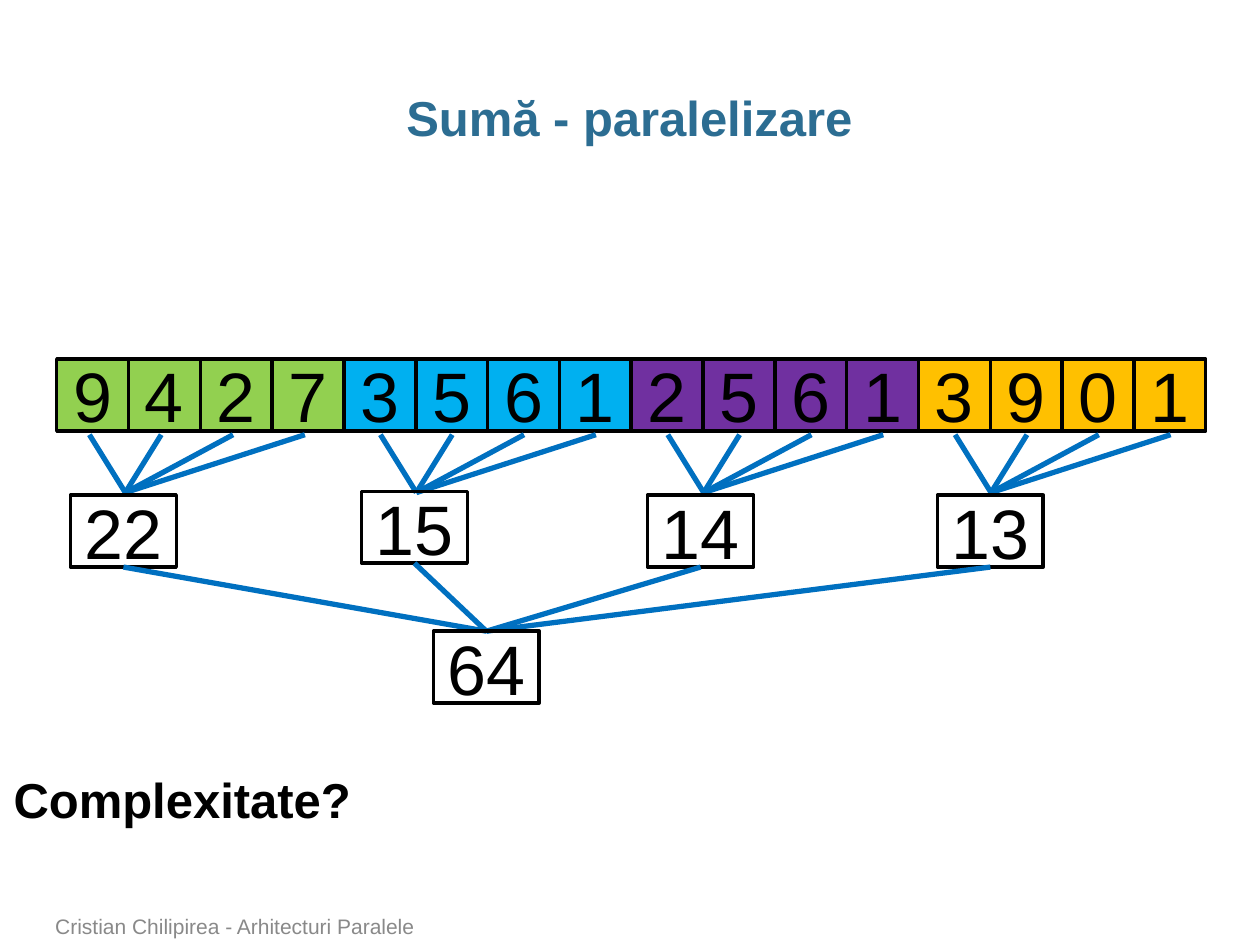
from dataclasses import dataclass

from lxml import etree
from pptx import Presentation
from pptx.dml.color import RGBColor
from pptx.enum.shapes import MSO_CONNECTOR, MSO_SHAPE
from pptx.enum.text import MSO_ANCHOR, MSO_AUTO_SIZE, PP_ALIGN
from pptx.oxml.ns import qn
from pptx.util import Pt

RECTANGLE = MSO_SHAPE.RECTANGLE
STRAIGHT = MSO_CONNECTOR.STRAIGHT
LEFT, CENTER = PP_ALIGN.LEFT, PP_ALIGN.CENTER
TOP, MIDDLE, BOTTOM = MSO_ANCHOR.TOP, MSO_ANCHOR.MIDDLE, MSO_ANCHOR.BOTTOM
TITLE_ONLY = 5


@dataclass(frozen=True)
class Theme:
    font: str = "Arial"
    ink: str = "000000"
    title: str = "2C6D92"
    footer: str = "898989"
    link: str = "0070C0"
    number_size: int = 40
    heading_size: int = 28
    footer_size: int = 12
    border: int = 2
    link_width: int = 3


THEME = Theme()

CELL = 41.04
ROW_LEFT, ROW_TOP = 32.4, 205.2
RESULT_WIDTH = 60.5
FAN_TOP, FAN_BOTTOM = 248.4, 281.5
SUM_LEFT, SUM_TOP = 247.7, 360.7

# Numbers, fill, left of the first fan line, left and top of the partial sum
GROUPS = [
    ((9, 4, 2, 7), "92D050", 51.1, 40.3, 283),
    ((3, 5, 6, 1), "00B0F0", 217.4, 206.6, 280.8),
    ((2, 5, 6, 1), "7030A0", 381.6, 370.1, 283),
    ((3, 9, 0, 1), "FFC000", 545.8, 535.7, 283),
]


def write_text(shape, text, size, color=THEME.ink, bold=False, align=LEFT,
               anchor=TOP, wrap=True, spacing=None):
    frame = shape.text_frame
    frame.word_wrap = wrap
    frame.auto_size = MSO_AUTO_SIZE.NONE
    frame.vertical_anchor = anchor
    para = frame.paragraphs[0]
    para.alignment = align
    para.line_spacing = spacing
    span = para.add_run()
    span.text = text
    span.font.name = THEME.font
    span.font.size = Pt(size)
    span.font.bold = bold
    span.font.color.rgb = RGBColor.from_string(color)


def add_label(page, text, left, top, width, height, **text_format):
    box = page.shapes.add_textbox(Pt(left), Pt(top), Pt(width), Pt(height))
    write_text(box, text, **text_format)


def add_title(page, text):
    title = page.shapes.title
    title.left, title.top = Pt(24.5), Pt(49)
    title.width, title.height = Pt(670.3), Pt(36)
    title.text_frame.margin_left = title.text_frame.margin_right = 0
    write_text(title, text, THEME.heading_size, color=THEME.title, bold=True,
               align=CENTER, spacing=0.95)


def add_number(page, number, left, top, width, fill=None):
    box = page.shapes.add_shape(RECTANGLE, Pt(left), Pt(top), Pt(width), Pt(CELL))
    box.shadow.inherit = False
    if fill:
        box.fill.solid()
        box.fill.fore_color.rgb = RGBColor.from_string(fill)
    else:
        box.fill.background()
    box.line.color.rgb = RGBColor.from_string(THEME.ink)
    box.line.width = Pt(THEME.border)
    write_text(box, str(number), THEME.number_size, align=CENTER, anchor=MIDDLE)


def add_link(page, start, end):
    link = page.shapes.add_connector(STRAIGHT, *map(Pt, start + end))
    link.line.color.rgb = RGBColor.from_string(THEME.link)
    link.line.width = Pt(THEME.link_width)
    etree.SubElement(link._element.spPr, qn("a:effectLst"))


def add_group(page, index, numbers, fill, fan_left, result_left, result_top):
    """Draw one block of cells, its partial sum, and the links down to the total."""
    tip = (fan_left + CELL / 2, FAN_BOTTOM)
    for step, number in enumerate(numbers):
        column = index * len(numbers) + step
        add_number(page, number, ROW_LEFT + column * CELL, ROW_TOP, CELL, fill)
        add_link(page, (fan_left + step * CELL, FAN_TOP), tip)
    add_number(page, sum(numbers), result_left, result_top, RESULT_WIDTH)
    add_link(page, (result_left + RESULT_WIDTH / 2, result_top + CELL),
             (SUM_LEFT + RESULT_WIDTH / 2, SUM_TOP))


def main():
    deck = Presentation()
    deck.slide_width, deck.slide_height = Pt(720), Pt(540)
    page = deck.slides.add_slide(deck.slide_layouts[TITLE_ONLY])

    add_title(page, "Sumă - paralelizare")
    for index, group in enumerate(GROUPS):
        add_group(page, index, *group)
    total = sum(sum(numbers) for numbers, *_ in GROUPS)
    add_number(page, total, SUM_LEFT, SUM_TOP, RESULT_WIDTH)
    add_label(page, "Complexitate?", 0.7, 436.3, 209.5, 41,
              size=THEME.heading_size, bold=True, wrap=False)
    add_label(page, "Cristian Chilipirea - Arhitecturi Paralele",
              24.5, 519.8, 530.6, 20.2, size=THEME.footer_size,
              color=THEME.footer, anchor=BOTTOM)
    deck.save("out.pptx")


if __name__ == "__main__":
    main()
